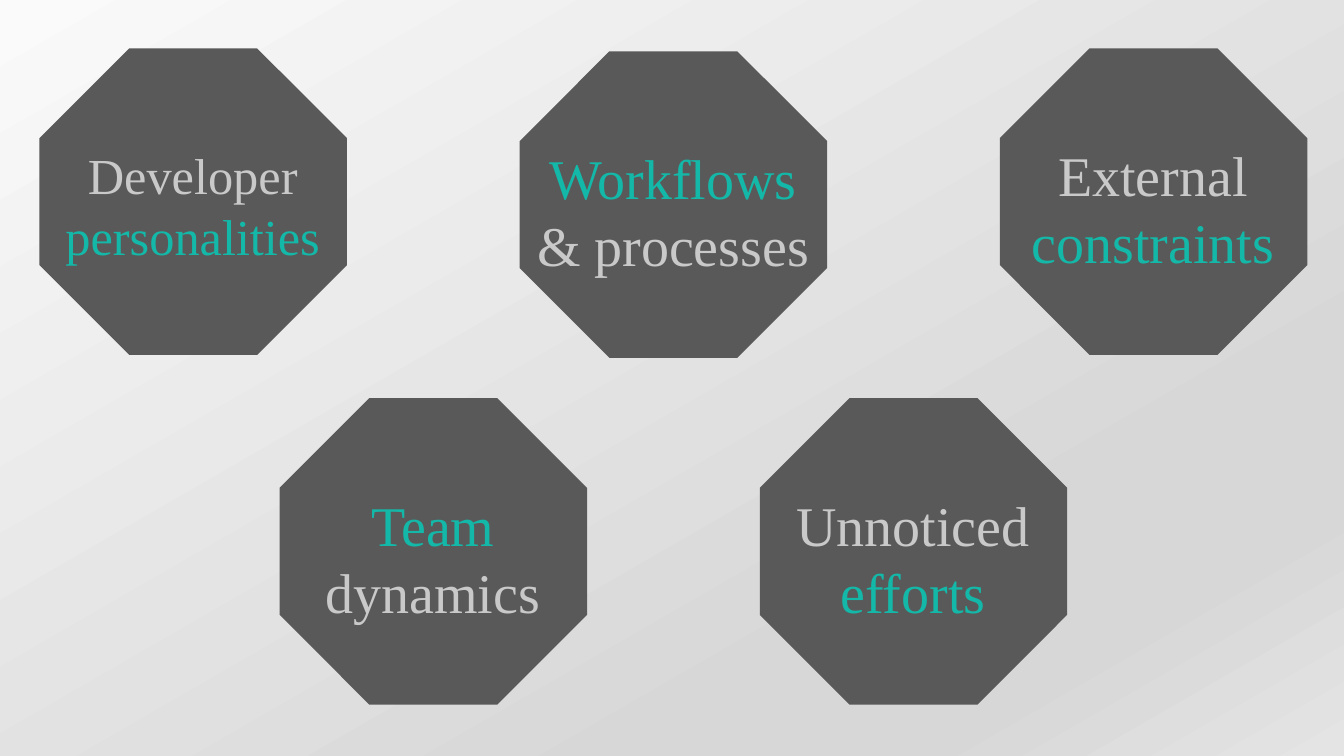
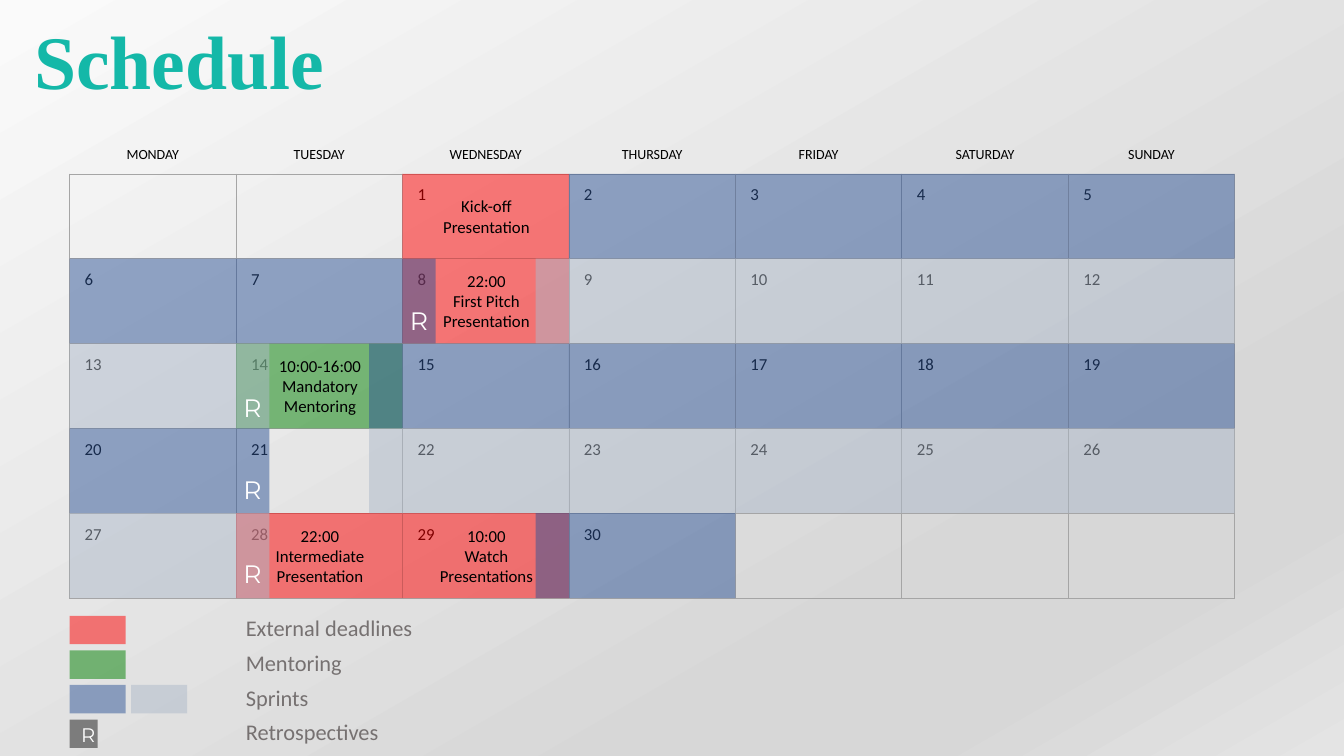
from dataclasses import dataclass
from typing import Any

from lxml.etree import SubElement
from pptx import Presentation
from pptx.dml.color import RGBColor
from pptx.enum.shapes import MSO_SHAPE as Preset
from pptx.enum.text import MSO_ANCHOR as Anchor, MSO_AUTO_SIZE as AutoSize, PP_ALIGN as Align
from pptx.oxml import parse_xml
from pptx.oxml.ns import nsdecls, qn
from pptx.util import Pt

# Shared colours and text formats
TEAL, LIGHT, DARK = "14B8A8", "C9C9C9", "595959"
BLACK, WHITE, GREY, GRID = "000000", "FFFFFF", "767171", "A5A5A5"
RED, GREEN, BLUE, PALE, INK = "FF0000", "008000", "2F5597", "ADB9CA", "181717"
BACKGROUND_STOPS = ((0, "FAFAFA"), (74, "D7D7D7"), (83, "D7D7D7"), (100, "E4E4E4"))

SERIF, SANS, MARK = "Times New Roman", "Calibri", "Montserrat"
TITLE_FORMAT = {"name": SERIF, "size": Pt(54), "bold": True}
WEEKDAY_FORMAT = {"name": SANS, "size": Pt(10)}
DAY_FORMAT = {"name": SANS, "size": Pt(12)}
LEGEND_FORMAT = {"name": SANS, "size": Pt(16)}

NO_GRID_STYLE = "{2D5ABB26-0587-4C30-8999-92F81FD0307C}"

# Calendar grid, in points
GRID_LEFT, GRID_TOP, HEADER_HEIGHT = 49.7, 96.8, 27.4
DAY_WIDTH, DAY_HEIGHT = 118.9, 60.6
WEEKDAYS = ("MONDAY", "TUESDAY", "WEDNESDAY", "THURSDAY", "FRIDAY", "SATURDAY", "SUNDAY")
WEEKS, FIRST_WEEKDAY, LAST_DAY = 5, 2, 30

Lines = tuple[tuple[tuple[str, str], ...], ...]


@dataclass(frozen=True)
class Box:
    left: float
    top: float
    width: float
    height: float

    def lengths(self) -> tuple:
        return Pt(self.left), Pt(self.top), Pt(self.width), Pt(self.height)


@dataclass(frozen=True)
class Topic:
    step: int
    top: float
    lines: Lines
    size: int = 40
    label_top: float = 62.3


@dataclass(frozen=True)
class Event:
    week: int
    column: int
    color: str
    lines: tuple[str, ...]


@dataclass(frozen=True)
class Sprint:
    week: int
    start: float
    color: str
    spans: tuple[float, ...]


@dataclass(frozen=True)
class Retrospective:
    week: int
    column: int
    offset: float


@dataclass(frozen=True)
class LegendEntry:
    label: str
    colors: tuple[str, ...]
    width: float = 40


TOPICS = (
    Topic(1, 284.4, ((("Team ", TEAL), ("dynamics", LIGHT)),)),
    Topic(3, 284.4, ((("Unnoticed", LIGHT),), (("efforts", TEAL),))),
    Topic(2, 36.7, ((("Workflows", TEAL), (" & processes", LIGHT)),)),
    Topic(4, 34.6, ((("External", LIGHT),), (("constraints", TEAL),))),
    Topic(0, 34.6, ((("Developer ", LIGHT), ("personalities", TEAL)),), 36, 64.8),
)

EVENTS = (
    Event(0, 2, RED, ("Kick-off Presentation",)),
    Event(1, 2, RED, ("22:00", "First Pitch Presentation")),
    Event(2, 1, GREEN, ("10:00-16:00", "Mandatory", "Mentoring")),
    Event(4, 1, RED, ("22:00", "Intermediate Presentation")),
    Event(4, 2, RED, ("10:00", "Watch Presentations")),
)

SPRINTS = (
    Sprint(0, 3, BLUE, (1, 1, 1, 1)),
    Sprint(1, 0, BLUE, (1, 1.2)),
    Sprint(1, 2.8, PALE, (1.2, 1, 1, 1)),
    Sprint(2, 0, PALE, (1.2,)),
    Sprint(2, 1.8, BLUE, (1.2, 1, 1, 1, 1)),
    Sprint(3, 0, BLUE, (1.2,)),
    Sprint(3, 1.8, PALE, (1.2, 1, 1, 1, 1)),
    Sprint(4, 0, PALE, (1.2,)),
    Sprint(4, 2.8, BLUE, (1.2,)),
)

RETROSPECTIVES = (
    Retrospective(1, 2, 30),
    Retrospective(2, 1, 31.5),
    Retrospective(3, 1, 29),
    Retrospective(4, 1, 29),
)

LEGEND = (
    LegendEntry("External deadlines", (RED,)),
    LegendEntry("Mentoring", (GREEN,)),
    LegendEntry("Sprints", (BLUE, PALE)),
    LegendEntry("Retrospectives", (INK,), 20),
)


def rgb(color: str) -> RGBColor:
    return RGBColor.from_string(color)


def set_attributes(target: Any, values: dict[str, Any]) -> None:
    for name, value in values.items():
        setattr(target, name, value)


def write_lines(text_frame: Any, lines: Lines, font_format: dict[str, Any],
                alignment: Any = Align.CENTER) -> None:
    """Write one paragraph per line, each made of (text, colour) runs."""
    for index, runs in enumerate(lines):
        paragraph = text_frame.add_paragraph() if index else text_frame.paragraphs[0]
        paragraph.alignment = alignment
        for text, color in runs:
            run = paragraph.add_run()
            run.text = text
            set_attributes(run.font, font_format)
            run.font.color.rgb = rgb(color)


def add_text(shapes: Any, box: Box, lines: Lines, font_format: dict[str, Any],
             alignment: Any = Align.CENTER, side_margin: float = 7.2) -> None:
    text_frame = shapes.add_textbox(*box.lengths()).text_frame
    set_attributes(text_frame, {"word_wrap": True, "margin_left": Pt(side_margin),
                                "margin_right": Pt(side_margin)})
    write_lines(text_frame, lines, font_format, alignment)


def add_filled(shapes: Any, preset: Any, box: Box, color: str, opacity: int = 100) -> Any:
    shape = shapes.add_shape(preset, *box.lengths())
    shape.shadow.inherit = False
    shape.line.fill.background()
    shape.fill.solid()
    shape.fill.fore_color.rgb = rgb(color)
    if opacity < 100:
        tint = shape._element.spPr.find(qn("a:solidFill")).find(qn("a:srgbClr"))
        SubElement(tint, qn("a:alpha"), val=str(opacity * 1000))
    return shape


def day_box(week: int, column: float, span: float = 1) -> Box:
    return Box(GRID_LEFT + column * DAY_WIDTH, GRID_TOP + HEADER_HEIGHT + week * DAY_HEIGHT,
               span * DAY_WIDTH, DAY_HEIGHT)


def set_background(master: Any) -> None:
    """Give every slide the slanted grey gradient."""
    fill = master.background.fill
    fill.gradient()
    gradient = master._element.find(".//" + qn("a:gradFill"))
    stops = gradient.find(qn("a:gsLst"))
    for stop in list(stops):
        stops.remove(stop)
    for position, color in BACKGROUND_STOPS:
        stop = SubElement(stops, qn("a:gs"), pos=str(position * 1000))
        SubElement(stop, qn("a:srgbClr"), val=color)
    gradient.find(qn("a:lin")).set("ang", str(60 * 60000))


def set_borders(cell: Any, sides: str) -> None:
    properties = cell._tc.get_or_add_tcPr()
    for side in sides:
        properties.append(parse_xml(
            f'<a:ln{side} {nsdecls("a")} w="6350"><a:solidFill><a:srgbClr val="{GRID}"/>'
            f'</a:solidFill></a:ln{side}>'))


def add_calendar(slide: Any) -> None:
    box = Box(GRID_LEFT, GRID_TOP, DAY_WIDTH * len(WEEKDAYS), HEADER_HEIGHT + DAY_HEIGHT * WEEKS)
    frame = slide.shapes.add_table(WEEKS + 1, len(WEEKDAYS), *box.lengths())
    table = frame.table
    set_attributes(table, {"first_row": False, "horz_banding": False})
    frame._element.find(".//" + qn("a:tableStyleId")).text = NO_GRID_STYLE
    for column in table.columns:
        column.width = Pt(DAY_WIDTH)
    for index, row in enumerate(table.rows):
        row.height = Pt(DAY_HEIGHT if index else HEADER_HEIGHT)

    # Weekday header
    for column, weekday in enumerate(WEEKDAYS):
        cell = table.cell(0, column)
        cell.vertical_anchor = Anchor.MIDDLE
        set_borders(cell, "B")
        cell.fill.background()
        write_lines(cell.text_frame, (((weekday, BLACK),),), WEEKDAY_FORMAT)

    # Numbered days
    for index in range(WEEKS * len(WEEKDAYS)):
        week, column = divmod(index, len(WEEKDAYS))
        cell = table.cell(week + 1, column)
        set_borders(cell, "LRTB")
        cell.fill.background()
        day = index - FIRST_WEEKDAY + 1
        if 1 <= day <= LAST_DAY:
            write_lines(cell.text_frame, (((str(day), BLACK),),), DAY_FORMAT, Align.LEFT)
            paragraph = cell.text_frame.paragraphs[0]
            paragraph.line_spacing = 1.3
            paragraph._p.get_or_add_pPr().set("marL", str(Pt(3.6)))


def add_mark(slide: Any, box: Box, size: int) -> None:
    add_text(slide.shapes, box, ((("R", WHITE),),), {"name": MARK, "size": Pt(size)},
             side_margin=0)


def add_legend(slide: Any) -> None:
    for index, entry in enumerate(LEGEND):
        top = 439.9 + index * 24.7
        for place, color in enumerate(entry.colors):
            swatch = Box(GRID_LEFT + place * 44, top, entry.width, 20.3)
            add_filled(slide.shapes, Preset.RECTANGLE, swatch, color, 50)
        add_text(slide.shapes, Box(168.5, top - 4.4, 135.4, 26.6), (((entry.label, GREY),),),
                 LEGEND_FORMAT, Align.LEFT)
    add_mark(slide, Box(52.2, 512.6, 21.6, 24.5), 14)


def build_topics(presentation: Any) -> None:
    slide = presentation.slides.add_slide(presentation.slide_layouts[6])
    for topic in TOPICS:
        left = 28.2 + topic.step * 171.5
        shapes = slide.shapes.add_group_shape().shapes
        add_filled(shapes, Preset.OCTAGON, Box(left, topic.top, 219.6, 218.9), DARK)
        add_text(shapes, Box(left - 1, topic.top + topic.label_top, 221, 104.4), topic.lines,
                 {"name": SERIF, "size": Pt(topic.size)})


def build_schedule(presentation: Any) -> None:
    slide = presentation.slides.add_slide(presentation.slide_layouts[5])
    title = slide.shapes.title
    title.left, title.top, title.width, title.height = Box(17.3, 6.5, 537, 72.7).lengths()
    set_attributes(title.text_frame, {"auto_size": AutoSize.NONE, "vertical_anchor": Anchor.TOP})
    write_lines(title.text_frame, ((("Schedule", TEAL),),), TITLE_FORMAT, Align.LEFT)
    add_calendar(slide)

    # Events, sprints and retrospectives lie over the days
    for event in EVENTS:
        shape = add_filled(slide.shapes, Preset.RECTANGLE, day_box(event.week, event.column),
                           event.color, 50)
        set_attributes(shape.text_frame, {
            "word_wrap": True, "vertical_anchor": Anchor.MIDDLE,
            "margin_left": Pt(11.5), "margin_right": Pt(10.5)})
        write_lines(shape.text_frame, tuple(((line, BLACK),) for line in event.lines), DAY_FORMAT)
    for sprint in SPRINTS:
        start = sprint.start
        for span in sprint.spans:
            add_filled(slide.shapes, Preset.RECTANGLE, day_box(sprint.week, start, span),
                       sprint.color, 50)
            start += span
    for retrospective in RETROSPECTIVES:
        day = day_box(retrospective.week, retrospective.column)
        add_mark(slide, Box(day.left - 2.6, day.top + retrospective.offset, 28.8, 28.8), 18)
    add_legend(slide)


def main() -> None:
    presentation = Presentation()
    set_attributes(presentation, {"slide_width": Pt(960), "slide_height": Pt(540)})
    set_background(presentation.slide_master)
    build_topics(presentation)
    build_schedule(presentation)
    presentation.save("out.pptx")


if __name__ == "__main__":
    main()
